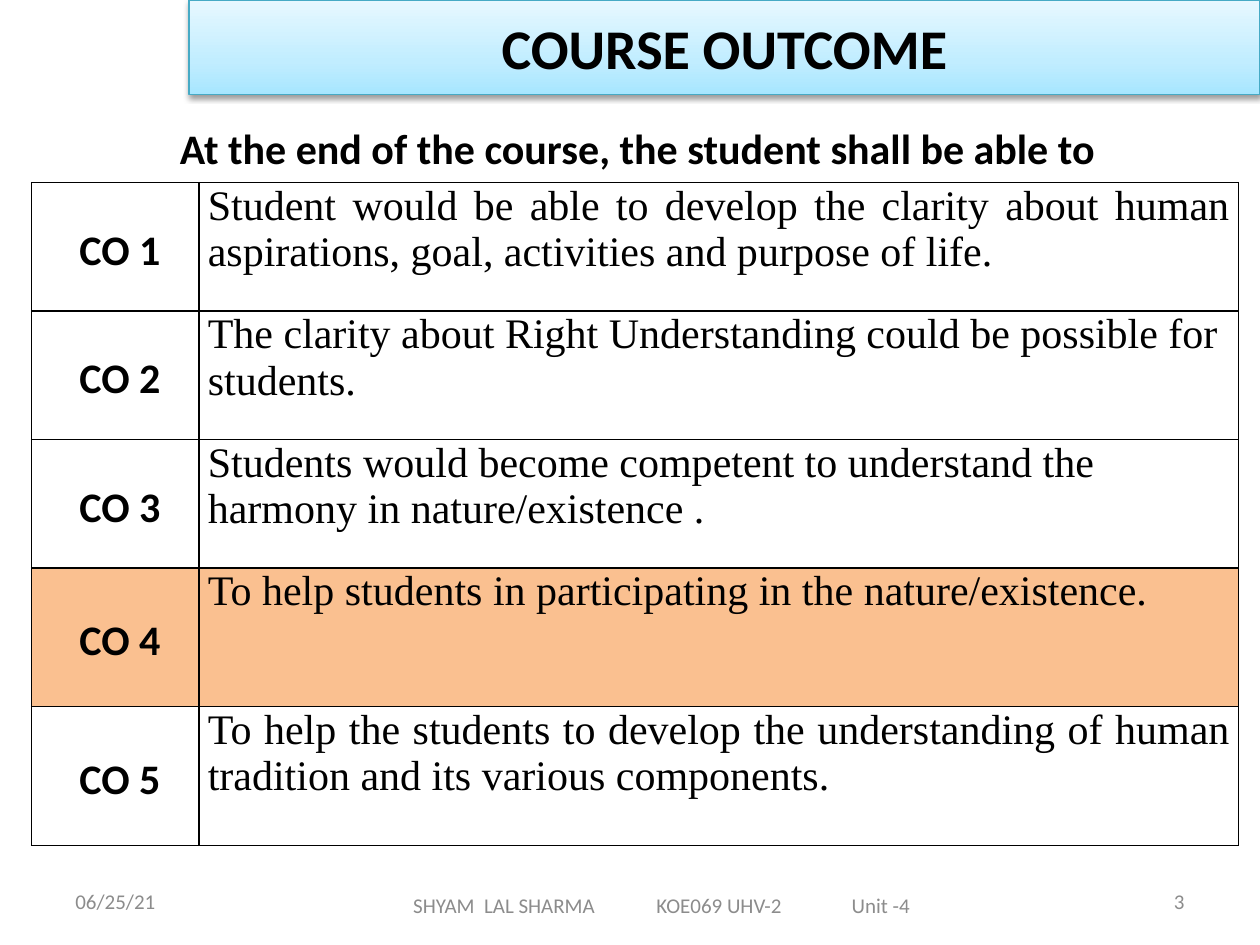
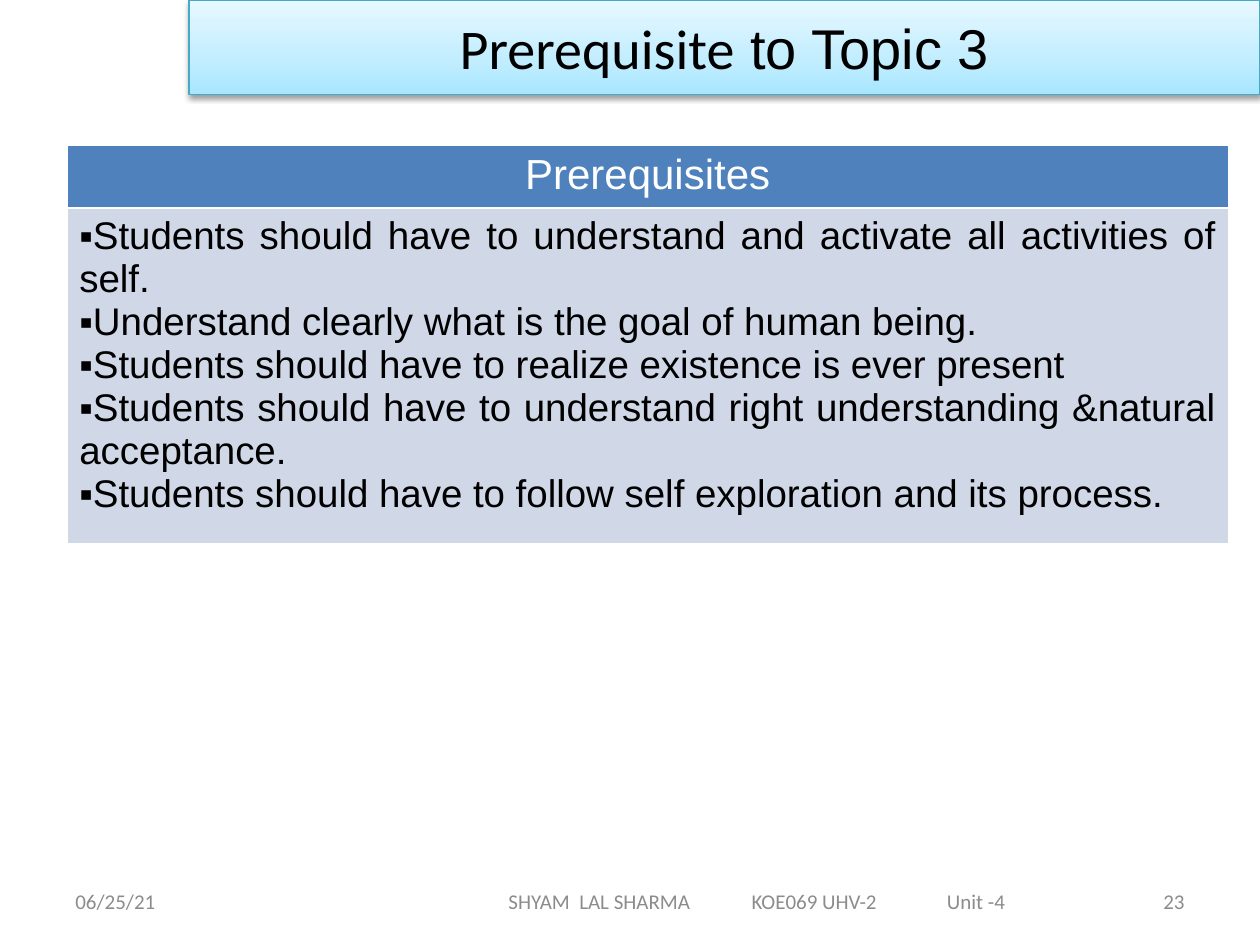
from copy import deepcopy

from lxml import etree
from pptx import Presentation
from pptx.dml.color import RGBColor
from pptx.enum.text import MSO_ANCHOR, MSO_AUTO_SIZE, PP_ALIGN
from pptx.oxml import parse_xml
from pptx.oxml.ns import nsdecls, qn
from pptx.util import Inches, Pt

COLORS = {
    "black": "000000", "white": "FFFFFF", "footer": "8C8C8C",
    "band_bottom": "A7E6FF", "band_middle": "C1EDFF", "band_top": "E7F8FF",
    "band_line": "46AAC5", "highlight": "FAC090",
    "header": "4F81BD", "panel": "D0D8E8",
}
BAND_STOPS = [(0, "band_bottom"), (0.35, "band_middle"), (1, "band_top")]
FOOTER_PARTS = ["SHYAM  LAL SHARMA", "KOE069 UHV-2", "Unit -4"]
FOOTER_TABS = [1.93, 3.48]
FOOTER_WIDTH = 3.95
DATE = "06/25/21"

OUTCOMES = [
    ("Student would be able to develop the clarity about human aspirations, "
     "goal, activities and purpose of life.", True),
    ("The clarity about Right Understanding could be possible for students.", False),
    ("Students would become competent to understand the harmony in "
     "nature/existence .", False),
    ("To help students in participating in the nature/existence.", True),
    ("To help the students to develop the understanding of human tradition "
     "and its various components.", True),
]
CURRENT_OUTCOME = 4

PREREQUISITES = [
    "Students should have to understand and activate all activities of self.",
    "Understand clearly what is the goal of human being.",
    "Students should have to realize existence is ever present",
    "Students should have to understand right understanding &natural acceptance.",
    "Students should have to follow self exploration and its process.",
]


def rgb(name):
    return RGBColor.from_string(COLORS[name])


class CourseDeck:
    """Shared style plus the slide being built."""

    def __init__(self):
        self.prs = Presentation()
        self.prs.slide_width, self.prs.slide_height = Inches(10), Inches(7.5)
        self.slide = None

    def new_slide(self, title_parts, number, footer_box, bold=False):
        self.slide = self.prs.slides.add_slide(self.prs.slide_layouts[5])
        self.title_band(title_parts, bold)
        self.footers(number, footer_box)

    def style(self, paragraph, size, font="Calibri", color="black", bold=False,
              align=PP_ALIGN.LEFT):
        paragraph.alignment = align
        for run in paragraph.runs:
            run.font.name, run.font.size, run.font.bold = font, Pt(size), bold
            run.font.color.rgb = rgb(color)

    def title_band(self, parts, bold):
        band = self.slide.shapes.title
        band.left, band.top = Inches(1.5), Inches(0)
        band.width, band.height = Inches(8.5), Inches(0.75)
        # Three-stop gradient, light at the top
        band.fill.gradient()
        band.fill.gradient_angle = 90
        stops = band._element.spPr.find(qn("a:gradFill")).find(qn("a:gsLst"))
        stops.append(deepcopy(stops[-1]))
        for stop, (position, color) in zip(band.fill.gradient_stops, BAND_STOPS):
            stop.position = position
            stop.color.rgb = rgb(color)
        band.line.color.rgb = rgb("band_line")
        band.line.width = Pt(0.75)
        band._element.spPr.append(parse_xml(
            f'<a:effectLst {nsdecls("a")}><a:outerShdw blurRad="40000" dist="20000" '
            f'dir="5400000" rotWithShape="0"><a:srgbClr val="{COLORS["black"]}">'
            '<a:alpha val="38000"/></a:srgbClr></a:outerShdw></a:effectLst>'))
        # Title text, one run per font
        frame = band.text_frame
        frame.auto_size, frame.word_wrap = MSO_AUTO_SIZE.NONE, True
        frame.vertical_anchor = MSO_ANCHOR.MIDDLE
        heading = frame.paragraphs[0]
        for text, _ in parts:
            heading.add_run().text = text
        self.style(heading, 32, bold=bold, align=PP_ALIGN.CENTER)
        for run, (_, font) in zip(heading.runs, parts):
            run.font.name = font

    def text(self, words, left, top, width, height, size, anchor=MSO_ANCHOR.MIDDLE,
             **look):
        box = self.slide.shapes.add_textbox(
            Inches(left), Inches(top), Inches(width), Inches(height))
        frame = box.text_frame
        frame.word_wrap, frame.vertical_anchor = True, anchor
        frame.text = words
        self.style(frame.paragraphs[0], size, **look)
        return frame

    def footers(self, number, footer_box):
        left, top, width = footer_box
        self.text(DATE, 0.5, 6.95, 2.33, 0.4, 12, color="footer")
        self.text(str(number), 7.17, 6.95, 2.33, 0.4, 12, color="footer",
                  align=PP_ALIGN.RIGHT)
        course = self.text("\t".join(FOOTER_PARTS), left, top, width, 0.4, 12,
                           color="footer")
        # Centre the tabbed line through its left inset
        course.margin_left = Inches((width - FOOTER_WIDTH) / 2)
        course.margin_right = 0
        tabs = etree.SubElement(course.paragraphs[0]._p.get_or_add_pPr(),
                                qn("a:tabLst"))
        for position in FOOTER_TABS:
            etree.SubElement(tabs, qn("a:tab"), pos=str(Inches(position)), algn="l")

    def table(self, left, top, columns, rows):
        grid = self.slide.shapes.add_table(
            len(rows), len(columns), Inches(left), Inches(top),
            Inches(sum(columns)), Inches(sum(rows))).table
        grid.first_row = grid.horz_banding = False
        for column, width in zip(grid.columns, columns):
            column.width = Inches(width)
        for row, height in zip(grid.rows, rows):
            row.height = Inches(height)
        return grid

    def cell(self, cell, lines, size, fill=None, border="black", insets=None,
             anchor=MSO_ANCHOR.TOP, bullet=None, **look):
        cell.vertical_anchor = anchor
        if insets:
            cell.margin_left = cell.margin_right = Inches(insets[0])
            cell.margin_top = cell.margin_bottom = Inches(insets[1])
        if fill:
            cell.fill.solid()
            cell.fill.fore_color.rgb = rgb(fill)
        else:
            cell.fill.background()
        properties = cell._tc.get_or_add_tcPr()
        for index, side in enumerate("LRTB"):
            properties.insert(index, parse_xml(
                f'<a:ln{side} {nsdecls("a")} w="{Pt(1)}"><a:solidFill>'
                f'<a:srgbClr val="{COLORS[border]}"/></a:solidFill></a:ln{side}>'))
        cell.text_frame.text = "\n".join(lines)
        for paragraph in cell.text_frame.paragraphs:
            if bullet:
                marks = paragraph._p.get_or_add_pPr()
                marks.set("marL", "0")
                marks.set("indent", "0")
                etree.SubElement(marks, qn("a:buFont"), typeface="Arial")
                etree.SubElement(marks, qn("a:buChar"), char=bullet)
            self.style(paragraph, size, **look)
        return cell.text_frame.paragraphs[0]


def course_outcome(deck):
    deck.new_slide([("COURSE OUTCOME", "Calibri")], 3, (2.67, 6.98, 5.17), bold=True)
    deck.text("At the end of the course, the student shall be able to",
              1.33, 0.92, 8.58, 0.5, 24, anchor=MSO_ANCHOR.TOP, bold=True)
    outcomes = deck.table(0.25, 1.45, [1.33, 8.25], [1.02] * 3 + [1.1] * 2)
    for number, (statement, justified) in enumerate(OUTCOMES, start=1):
        fill = "highlight" if number == CURRENT_OUTCOME else None
        code = deck.cell(outcomes.cell(number - 1, 0), [f"CO {number}"], 24, fill,
                         insets=(0.06, 0.06), anchor=MSO_ANCHOR.MIDDLE, bold=True,
                         align=PP_ALIGN.JUSTIFY)
        code.line_spacing = 1.15
        code._p.get_or_add_pPr().set("marL", str(Inches(0.32)))
        outcome = deck.cell(
            outcomes.cell(number - 1, 1), [statement], 24, fill, insets=(0.07, 0),
            font="Times New Roman",
            align=PP_ALIGN.JUSTIFY if justified else PP_ALIGN.LEFT)
        outcome.space_after = Pt(10)


def prerequisites(deck):
    deck.new_slide([("Prerequisite", "Calibri"), (" to Topic 3", "Arial")], 23,
                   (3.12, 6.95, 5.78))
    topics = deck.table(0.53, 1.15, [9.22], [0.46, 2.49])
    topics.first_row = True
    deck.cell(topics.cell(0, 0), ["Prerequisites"], 24, "header", "white",
              font="Arial", color="white", align=PP_ALIGN.CENTER)
    deck.cell(topics.cell(1, 0), PREREQUISITES, 22, "panel", "white", bullet="▪",
              font="Arial", align=PP_ALIGN.JUSTIFY)


def main():
    deck = CourseDeck()
    course_outcome(deck)
    prerequisites(deck)
    deck.prs.save("out.pptx")


if __name__ == "__main__":
    main()
